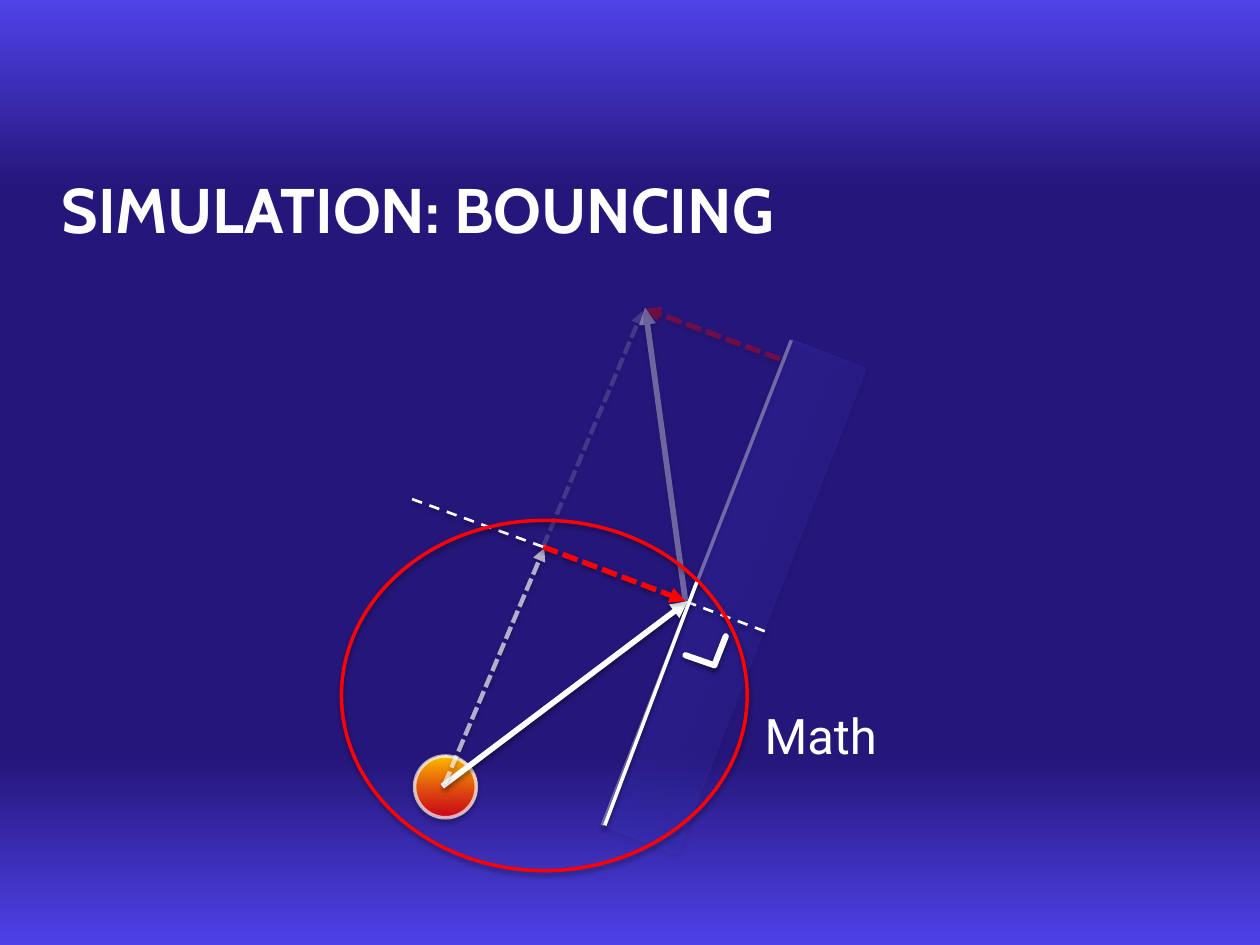
from dataclasses import dataclass
from typing import Optional

from lxml import etree
from pptx import Presentation
from pptx.dml.color import RGBColor
from pptx.enum import dml, shapes, text
from pptx.oxml import ns
from pptx.util import Inches, Pt

COLORS = {
    "white": "FFFFFF",
    "red": "FF0000",
    "amber": "FFC000",
    "wall": "4543E8",
    "glow": "4F42E8",
    "night": "25167A",
    "shadow": "000000",
}
SHORT_DASH = dml.MSO_LINE.SQUARE_DOT
LONG_DASH = dml.MSO_LINE.DASH


@dataclass
class Stop:
    position: int
    color: str
    opacity: int = 100


@dataclass
class Stroke:
    start: tuple[float, float]
    end: tuple[float, float]
    width: float
    color: str = "white"
    opacity: int = 100
    dash: Optional[dml.MSO_LINE] = None
    arrow: bool = False
    cap: str = "flat"


def child(parent, tag: str, **attributes):
    return etree.SubElement(parent, ns.qn(tag),
                            {key: str(value) for key, value in attributes.items()})


def add_color(parent, color: str, opacity: int) -> None:
    srgb = child(parent, "a:srgbClr", val=COLORS[color])
    if opacity < 100:
        child(srgb, "a:alpha", val=opacity * 1000)


def fill_gradient(fill, properties, stops: list[Stop], angle: int) -> None:
    """Swap a solid fill for a linear gradient, angle in clockwise degrees."""
    fill.solid()
    solid = properties.find(ns.qn("a:solidFill"))
    gradient = etree.Element(ns.qn("a:gradFill"), rotWithShape="1")
    stop_list = child(gradient, "a:gsLst")
    for stop in stops:
        add_color(child(stop_list, "a:gs", pos=stop.position * 1000),
                  stop.color, stop.opacity)
    child(gradient, "a:lin", ang=angle * 60000, scaled=0)
    properties.replace(solid, gradient)


def add_shadow(properties, opacity: int, distance: float) -> None:
    effects = properties.find(ns.qn("a:effectLst"))
    if effects is None:
        effects = child(properties, "a:effectLst")
    shadow = child(effects, "a:outerShdw", blurRad=Pt(3.1), dist=Pt(distance),
                   dir=90 * 60000, rotWithShape=0)
    add_color(shadow, "shadow", opacity)


def format_line(line, color: str, width: float, opacity: int = 100) -> None:
    line.color.rgb = RGBColor.from_string(COLORS[color])
    line.width = Pt(width)
    if opacity < 100:
        srgb = line.fill._xPr.find(".//" + ns.qn("a:srgbClr"))
        child(srgb, "a:alpha", val=opacity * 1000)


def draw_stroke(slide, stroke: Stroke) -> None:
    connector = slide.shapes.add_connector(
        shapes.MSO_CONNECTOR.STRAIGHT,
        *(Inches(value) for value in stroke.start + stroke.end))
    format_line(connector.line, stroke.color, stroke.width, stroke.opacity)
    if stroke.dash is not None:
        connector.line.dash_style = stroke.dash
    properties = connector._element.spPr
    outline = properties.find(ns.qn("a:ln"))
    outline.set("cap", stroke.cap)
    if stroke.arrow:
        child(outline, "a:tailEnd", type="triangle")
    add_shadow(properties, 38, 1.6)


def draw_shape(slide, kind, left: float, top: float, width: float, height: float, *,
               stops: Optional[list[Stop]] = None, angle: int = 0,
               line: Optional[tuple] = None, rotation: float = 0) -> None:
    shape = slide.shapes.add_shape(
        kind, Inches(left), Inches(top), Inches(width), Inches(height))
    shape.rotation = rotation
    shape.shadow.inherit = False
    if stops:
        fill_gradient(shape.fill, shape._element.spPr, stops, angle)
    else:
        shape.fill.background()
    if line:
        format_line(shape.line, *line)
    else:
        shape.line.fill.background()
    add_shadow(shape._element.spPr, 35, 1.8)


def write_text(frame, words: str, *, font: str, size: float, bold: bool = False,
               anchor=text.MSO_ANCHOR.TOP, wrap: bool = True) -> None:
    frame.text = words
    frame.word_wrap = wrap
    frame.vertical_anchor = anchor
    paragraph = frame.paragraphs[0]
    paragraph.alignment = text.PP_ALIGN.LEFT
    paragraph.font.name = font
    paragraph.font.size = Pt(size)
    paragraph.font.bold = bold
    paragraph.font.color.rgb = RGBColor.from_string(COLORS["white"])


def main() -> None:
    deck = Presentation()
    deck.slide_width, deck.slide_height = Inches(10), Inches(7.5)
    slide = deck.slides.add_slide(deck.slide_layouts[5])

    backdrop = slide.background.fill
    backdrop.solid()
    fill_gradient(backdrop, backdrop._xPr,
                  [Stop(0, "glow"), Stop(20, "night"),
                   Stop(80, "night"), Stop(100, "glow")], 90)

    oval, box = shapes.MSO_SHAPE.OVAL, shapes.MSO_SHAPE.RECTANGLE
    draw_shape(slide, oval, 3.29, 6, 0.49, 0.49, angle=270,
               stops=[Stop(0, "red", 75), Stop(100, "amber")],
               line=("white", 2, 65))

    title = slide.shapes.title
    title.left, title.top = Inches(0.39), Inches(1.03)
    title.width, title.height = Inches(9), Inches(1.25)
    write_text(title.text_frame, "SIMULATION: BOUNCING", font="Cabin", size=36,
               bold=True, anchor=text.MSO_ANCHOR.MIDDLE)

    draw_shape(slide, box, 5.51, 2.67, 0.63, 4.13, rotation=21.2,
               stops=[Stop(0, "wall", 35), Stop(100, "wall", 0)])

    foot = (4.31, 4.34)
    impact = (5.44, 4.77)
    corner = (5.67, 5.28)
    wall_edge = Stroke((6.28, 2.7), (4.78, 6.55), 2, opacity=35)
    outgoing = Stroke(impact, (5.12, 2.44), 3.25, opacity=35, arrow=True)
    incoming = Stroke((3.51, 6.24), (5.46, 4.77), 3.25, arrow=True)
    along_wall = Stroke((3.53, 6.22), (4.32, 4.35), 2.5, opacity=65,
                        dash=SHORT_DASH, arrow=True)
    normal_right = Stroke((6.07, 5.01), (5.46, 4.78), 1.5, dash=LONG_DASH)
    toward_wall = Stroke(foot, impact, 3, "red", dash=SHORT_DASH, arrow=True)
    along_wall_after = Stroke(foot, (5.1, 2.47), 2.5, opacity=15,
                              dash=SHORT_DASH, arrow=True)
    away_from_wall = Stroke((6.19, 2.85), (5.12, 2.45), 3, "red", 35,
                            dash=SHORT_DASH, arrow=True)
    normal_left = Stroke(foot, (3.24, 3.95), 1.5, dash=LONG_DASH)
    for stroke in (wall_edge, outgoing, incoming, along_wall, normal_right, toward_wall,
                   along_wall_after, away_from_wall, normal_left):
        draw_stroke(slide, stroke)

    draw_shape(slide, oval, 2.71, 4.13, 3.22, 2.78, line=("red", 2))
    draw_stroke(slide, Stroke((5.53, 4.62), (4.8, 6.55), 2))

    math_label = slide.shapes.add_textbox(
        Inches(5.97), Inches(5.55), Inches(1.1), Inches(0.57))
    write_text(math_label.text_frame, "Math", font="Roboto", size=28, wrap=False)

    for arm_end in ((5.76, 5.05), (5.44, 5.2)):
        draw_stroke(slide, Stroke(arm_end, corner, 3.5, cap="rnd"))

    deck.save("out.pptx")


if __name__ == "__main__":
    main()
